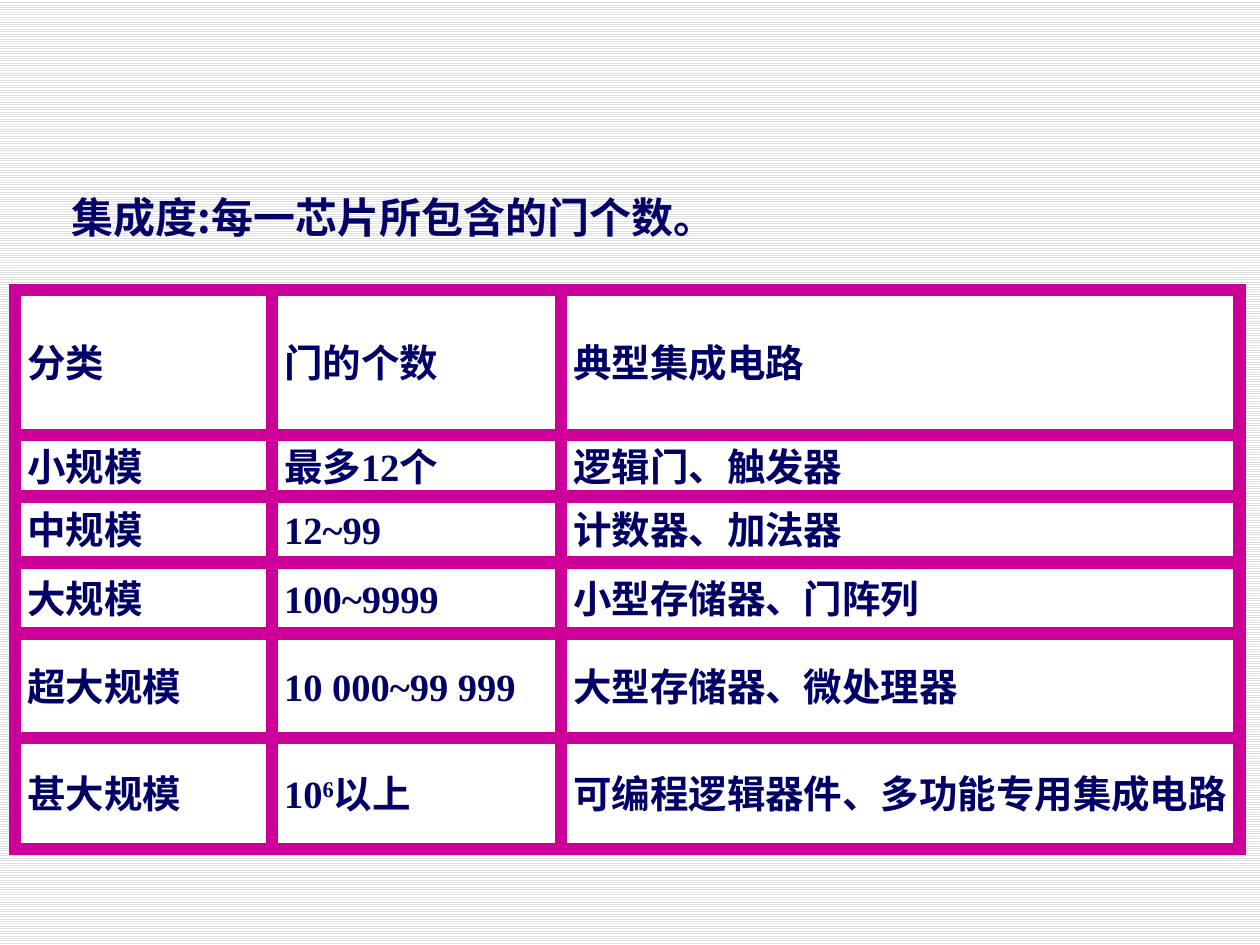
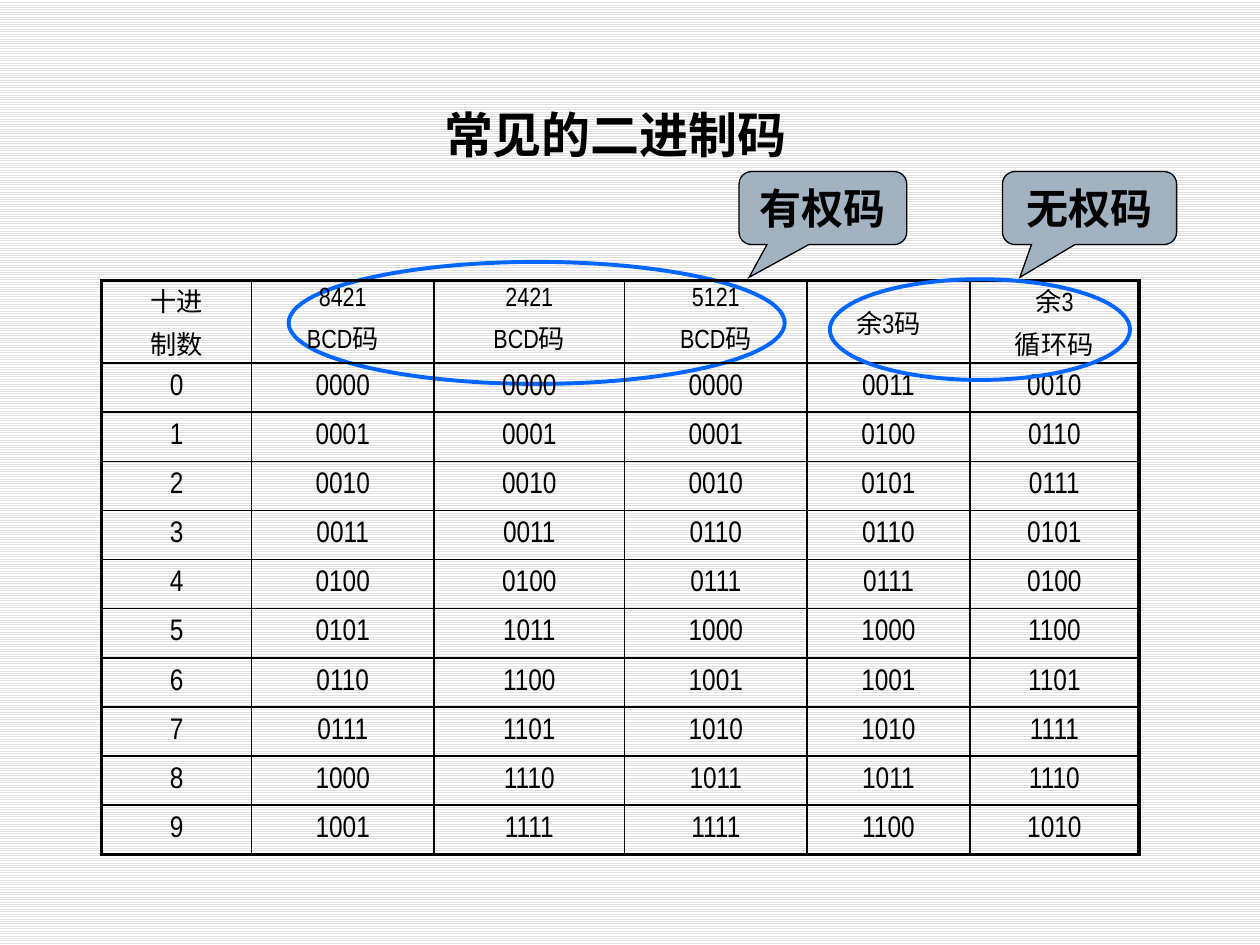
from dataclasses import dataclass
from typing import Any, Optional

from lxml.etree import SubElement
from pptx import Presentation
from pptx.dml.color import RGBColor
from pptx.enum.dml import MSO_PATTERN
from pptx.enum.shapes import MSO_CONNECTOR, MSO_SHAPE
from pptx.enum.text import MSO_ANCHOR, MSO_AUTO_SIZE, PP_ALIGN
from pptx.oxml.ns import qn
from pptx.util import Cm, Pt

# Shared look
COLORS = {
    "white": "FFFFFF", "stripe": "E0E0E0", "black": "000000",
    "navy": "000066", "heading": "040468", "magenta": "CC0099",
    "blue": "0066FF", "steel": "A3B2C1",
}
CJK_FONT = "Noto Sans CJK SC"
NO_MARGINS = {"margin_top": 0, "margin_bottom": 0}


@dataclass(frozen=True)
class Box:
    """Left, top, width and height in centimetres."""
    left: float
    top: float
    width: float
    height: float

    def lengths(self) -> tuple:
        return Cm(self.left), Cm(self.top), Cm(self.width), Cm(self.height)


@dataclass(frozen=True)
class TextStyle:
    font: str
    size: float
    color: str
    bold: bool = False
    align: PP_ALIGN = PP_ALIGN.CENTER


@dataclass(frozen=True)
class Callout:
    text: str
    box: Box
    adjustments: tuple


@dataclass(frozen=True)
class Rule:
    """A straight line: start x, start y, end x, end y, and its width in points."""
    ends: tuple
    width: float


def rgb(name: str) -> RGBColor:
    return RGBColor.from_string(COLORS[name])


def set_format(target: Any, values: dict) -> None:
    for attribute, value in values.items():
        setattr(target, attribute, value)


def write_text(frame: Any, text: str, style: TextStyle) -> None:
    """Write one paragraph per line; text between carets is superscript."""
    for number, line in enumerate(text.split("\n")):
        paragraph = frame.add_paragraph() if number else frame.paragraphs[0]
        set_format(paragraph, {
            "alignment": style.align,
            "space_before": Pt(0.2 * style.size if number else 0),
        })
        for part, words in enumerate(line.split("^")):
            run = paragraph.add_run()
            run.text = words
            set_format(run.font, {"name": style.font, "size": Pt(style.size),
                                  "bold": style.bold})
            run.font.color.rgb = rgb(style.color)
            properties = run._r.get_or_add_rPr()
            SubElement(properties, qn("a:ea")).set("typeface", CJK_FONT)
            if part % 2:
                properties.set("baseline", "30000")


def add_titled_slide(deck: Any, title: str, box: Box, style: TextStyle) -> Any:
    slide = deck.slides.add_slide(deck.slide_layouts[5])
    heading = slide.shapes.title
    set_format(heading, dict(zip(("left", "top", "width", "height"), box.lengths())))
    set_format(heading.text_frame, {
        "word_wrap": False, "auto_size": MSO_AUTO_SIZE.NONE,
        "vertical_anchor": MSO_ANCHOR.MIDDLE,
    })
    write_text(heading.text_frame, title, style)
    return slide


def add_outlined(shapes: Any, kind: MSO_SHAPE, box: Box, line_color: str,
                 line_width: float, fill: Optional[str] = None) -> Any:
    shape = shapes.add_shape(kind, *box.lengths())
    shape.shadow.inherit = False
    shape.line.color.rgb = rgb(line_color)
    shape.line.width = Pt(line_width)
    SubElement(shape.line._get_or_add_ln(), qn("a:miter")).set("lim", "800000")
    if fill:
        shape.fill.solid()
        shape.fill.fore_color.rgb = rgb(fill)
    else:
        shape.fill.background()
    return shape


def add_rule(shapes: Any, rule: Rule, color: str) -> None:
    line = shapes.add_connector(MSO_CONNECTOR.STRAIGHT, *map(Cm, rule.ends))
    line.line.color.rgb = rgb(color)
    line.line.width = Pt(rule.width)
    SubElement(line._element.spPr, qn("a:effectLst"))


def add_callout(slide: Any, callout: Callout) -> None:
    bubble = add_outlined(slide.shapes, MSO_SHAPE.ROUNDED_RECTANGULAR_CALLOUT,
                          callout.box, "black", 0.75, "steel")
    for index, value in enumerate(callout.adjustments):
        bubble.adjustments[index] = value
    set_format(bubble.text_frame, {"word_wrap": True,
                                   "vertical_anchor": MSO_ANCHOR.MIDDLE, **NO_MARGINS})
    write_text(bubble.text_frame, callout.text, TextStyle("Lato", 24, "black", True))


# Slide 1: scale of integration
SCALES = [
    ["分类", "门的个数", "典型集成电路"],
    ["小规模", "最多12个", "逻辑门、触发器"],
    ["中规模", "12~99", "计数器、加法器"],
    ["大规模", "100~9999", "小型存储器、门阵列"],
    ["超大规模", "10 000~99 999", "大型存储器、微处理器"],
    ["甚大规模", "10^6^以上", "可编程逻辑器件、多功能专用集成电路"],
]
SCALE_X = [0.3, 5.48, 11.31, 24.99]
SCALE_Y = [5.84, 8.77, 10.01, 11.34, 12.77, 14.88, 17.11]
THIN_ROWS = {0, 1, 6}


def build_scale_slide(deck: Any) -> None:
    slide = add_titled_slide(
        deck, "集成度:每一芯片所包含的门个数。", Box(1.07, 3.73, 13.72, 1.27),
        TextStyle(CJK_FONT, 24, "heading", True))
    shapes = slide.shapes.add_group_shape().shapes

    # Cells, from the bottom right to the top left
    for r, words in reversed(list(enumerate(SCALES))):
        for c, text in reversed(list(enumerate(words))):
            box = Box(SCALE_X[c], SCALE_Y[r],
                      SCALE_X[c + 1] - SCALE_X[c], SCALE_Y[r + 1] - SCALE_Y[r])
            cell = add_outlined(shapes, MSO_SHAPE.RECTANGLE, box, "magenta", 7, "white")
            set_format(cell.text_frame, {
                "word_wrap": True, "vertical_anchor": MSO_ANCHOR.MIDDLE,
                "margin_left": Cm(0.25), "margin_right": Cm(0.05), **NO_MARGINS})
            font = CJK_FONT if r == 0 or c == 0 else "Times New Roman"
            write_text(cell.text_frame, text,
                       TextStyle(font, 22, "navy", True, PP_ALIGN.LEFT))

    # Rules along every edge
    rules = [Rule((SCALE_X[0], y, SCALE_X[-1], y), 1 if r in THIN_ROWS else 7)
             for r, y in enumerate(SCALE_Y)]
    rules += [Rule((x, SCALE_Y[0], x, SCALE_Y[-1]), 7) for x in SCALE_X]
    for rule in rules:
        add_rule(shapes, rule, "magenta")


# Slide 2: common binary codes
CODES = {
    "十进\n制数": "0 1 2 3 4 5 6 7 8 9",
    "8421\nBCD码": "0000 0001 0010 0011 0100 0101 0110 0111 1000 1001",
    "2421\nBCD码": "0000 0001 0010 0011 0100 1011 1100 1101 1110 1111",
    "5121\nBCD码": "0000 0001 0010 0110 0111 1000 1001 1010 1011 1111",
    "余3码": "0011 0100 0101 0110 0111 1000 1001 1010 1011 1100",
    "余3\n循环码": "0010 0110 0111 0101 0100 1100 1101 1111 1110 1010",
}
CODE_WIDTHS = [3.02, 3.68, 3.84, 3.68, 3.28, 3.41]
CODE_HEIGHTS = [1.67] + [0.99] * 10
WEIGHTED = Callout("有权码", Box(14.9, 3.46, 3.38, 1.47), (-0.44, 0.95, 0.17))
UNWEIGHTED = Callout("无权码", Box(20.21, 3.46, 3.51, 1.47), (-0.4, 0.95, 0.17))
WEIGHTED_RING = Box(5.82, 5.28, 10, 2.46)
UNWEIGHTED_RING = Box(16.73, 5.63, 6.05, 2.03)


def add_border(cell: Any, side: str, width: float) -> None:
    line = SubElement(cell._tc.get_or_add_tcPr(), qn(f"a:{side}"),
                      w=str(Pt(width)), cmpd="sng")
    fill = SubElement(line, qn("a:solidFill"))
    SubElement(fill, qn("a:srgbClr")).set("val", COLORS["black"])


def add_code_table(slide: Any) -> None:
    contents = [list(CODES), *zip(*(column.split() for column in CODES.values()))]
    last_row, last_column = len(CODE_HEIGHTS) - 1, len(CODE_WIDTHS) - 1
    box = Box(2.05, 5.65, sum(CODE_WIDTHS), sum(CODE_HEIGHTS))
    table = slide.shapes.add_table(last_row + 1, last_column + 1, *box.lengths()).table
    set_format(table, {"first_row": False, "horz_banding": False})
    for column, width in zip(table.columns, CODE_WIDTHS):
        column.width = Cm(width)
    for row, height in zip(table.rows, CODE_HEIGHTS):
        row.height = Cm(height)
    for r, words in enumerate(contents):
        style = TextStyle("Arial Narrow", 17 if r else 15, "black")
        for c, text in enumerate(words):
            cell = table.cell(r, c)
            set_format(cell, {"vertical_anchor": MSO_ANCHOR.MIDDLE, **NO_MARGINS})
            outer_sides = {"lnL": c == 0, "lnR": c == last_column,
                           "lnT": r == 0, "lnB": r == last_row}
            for side, is_outer in outer_sides.items():
                add_border(cell, side, 2.25 if is_outer else 1)
            cell.fill.background()
            write_text(cell.text_frame, text, style)


def build_code_slide(deck: Any) -> None:
    slide = add_titled_slide(
        deck, "常见的二进制码", Box(8.67, 1.97, 7.47, 1.45),
        TextStyle("Times New Roman", 28, "black", True))
    add_callout(slide, UNWEIGHTED)
    add_outlined(slide.shapes, MSO_SHAPE.OVAL, WEIGHTED_RING, "blue", 2.25)
    add_callout(slide, WEIGHTED)
    add_code_table(slide)
    add_outlined(slide.shapes, MSO_SHAPE.OVAL, UNWEIGHTED_RING, "blue", 2.25)


def main() -> None:
    deck = Presentation()
    set_format(deck, {"slide_width": Cm(25.4), "slide_height": Cm(19.05)})
    # Striped background for every slide
    stripes = deck.slide_master.background.fill
    stripes.patterned()
    stripes.pattern = MSO_PATTERN.LIGHT_HORIZONTAL
    stripes.fore_color.rgb = rgb("stripe")
    stripes.back_color.rgb = rgb("white")
    build_scale_slide(deck)
    build_code_slide(deck)
    deck.save("out.pptx")


if __name__ == "__main__":
    main()
